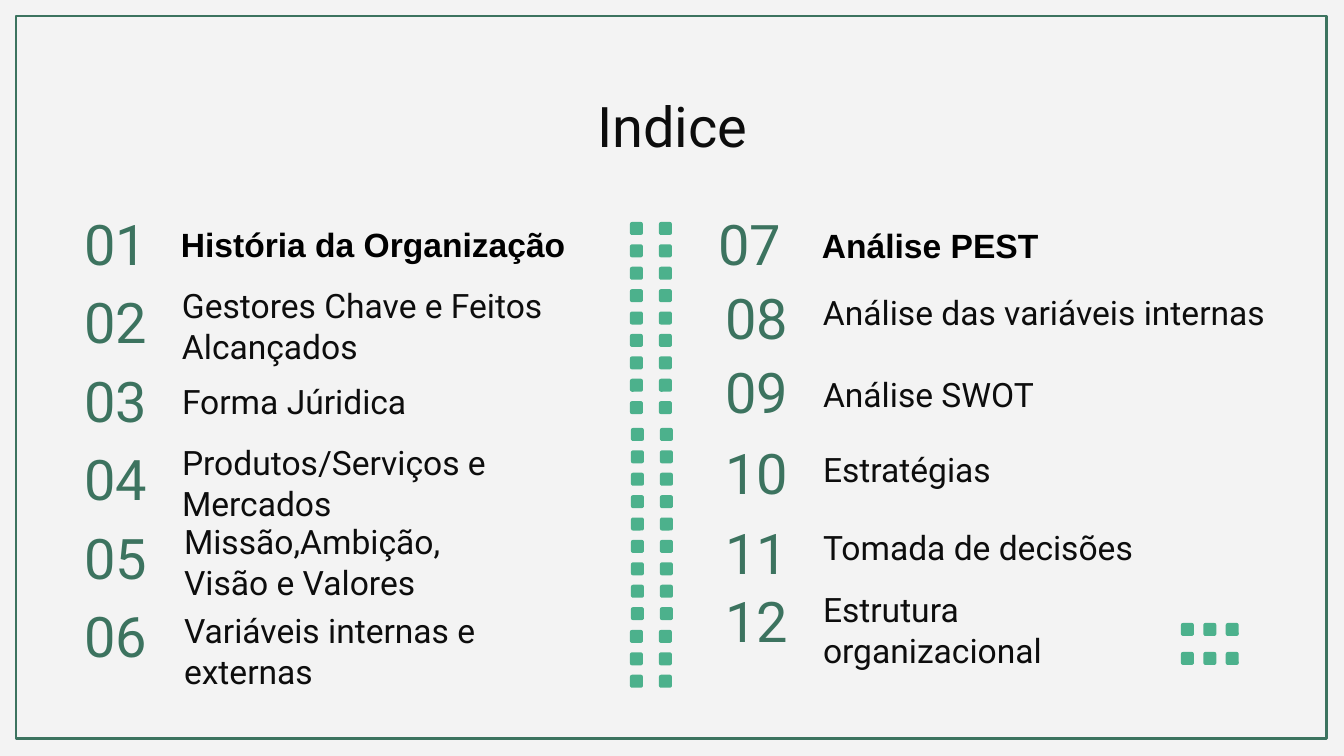
import dataclasses

import pptx
import pptx.dml.color
import pptx.enum.shapes
import pptx.enum.text
import pptx.util

ALIGN = pptx.enum.text.PP_ALIGN
ANCHOR = pptx.enum.text.MSO_ANCHOR
SHAPE = pptx.enum.shapes.MSO_SHAPE
EMU_PER_PX = 9144000 / 1344


def px(length):
    return pptx.util.Emu(round(length * EMU_PER_PX))


def color(value):
    return pptx.dml.color.RGBColor.from_string(value)


def apply(target, values):
    for name, value in values.items():
        setattr(target, name, value)


@dataclasses.dataclass(frozen=True)
class Theme:
    background: str = "F3F3F3"
    green: str = "3C735F"
    mint: str = "4CB18C"
    ink: str = "0D0D0D"
    black: str = "000000"
    body_font: str = "Roboto"
    strong_font: str = "Arial"
    large: int = 30
    medium: int = 18
    frame_line: float = 1.5


class IndexSlide:
    def __init__(self, deck, theme):
        self.theme = theme
        self.slide = deck.slides.add_slide(deck.slide_layouts[6])
        fill = self.slide.background.fill
        fill.solid()
        fill.fore_color.rgb = color(theme.background)

    def frame(self, left, top, width, height):
        shape = self.slide.shapes.add_shape(
            SHAPE.RECTANGLE, px(left), px(top), px(width), px(height))
        shape.shadow.inherit = False
        shape.fill.background()
        shape.line.color.rgb = color(self.theme.green)
        shape.line.width = pptx.util.Pt(self.theme.frame_line)

    def text(self, bounds, lines, size, ink, font=None, bold=False,
             align=ALIGN.LEFT, anchor=ANCHOR.MIDDLE, line_spacing=None):
        box = self.slide.shapes.add_textbox(*map(px, bounds))
        frame = box.text_frame
        inset = px(13)
        apply(frame, {"word_wrap": True, "vertical_anchor": anchor,
                      "margin_left": inset, "margin_right": inset,
                      "margin_top": inset, "margin_bottom": inset})
        frame.text = lines
        for para in frame.paragraphs:
            apply(para, {"alignment": align, "line_spacing": line_spacing})
            for span in para.runs:
                apply(span.font, {"size": pptx.util.Pt(size), "bold": bold,
                                  "name": font or self.theme.body_font})
                span.font.color.rgb = color(ink)
        return frame

    def title(self, bounds, words):
        self.text(bounds, words, self.theme.large, self.theme.ink,
                  align=ALIGN.CENTER, anchor=ANCHOR.TOP)

    def number(self, left, top, value):
        self.text((left, top, 108, 67), f"{value:02d}", self.theme.large,
                  self.theme.green, align=ALIGN.CENTER)

    def label(self, bounds, words):
        self.text(bounds, words, self.theme.medium, self.theme.ink,
                  anchor=ANCHOR.BOTTOM)

    def heading(self, bounds, words):
        frame = self.text(bounds, words, self.theme.medium, self.theme.black,
                          font=self.theme.strong_font, bold=True,
                          anchor=ANCHOR.BOTTOM, line_spacing=1.15)
        properties = frame.paragraphs[0]._p.get_or_add_pPr()
        properties.set("marL", str(px(67)))
        properties.set("indent", str(-px(44)))

    def dots(self, left, top, columns, rows, column_step, row_step):
        group = self.slide.shapes.add_group_shape()
        for row in range(rows):
            for column in range(columns):
                dot = group.shapes.add_shape(
                    SHAPE.ROUNDED_RECTANGLE, px(left + column * column_step),
                    px(top + row * row_step), px(13), px(13))
                dot.shadow.inherit = False
                dot.fill.solid()
                dot.fill.fore_color.rgb = color(self.theme.mint)
                dot.line.fill.background()


HEADINGS = [
    ((145, 210, 605, 67), "História da Organização"),
    ((786, 211, 605, 67), "Análise PEST"),
]
LABELS = [
    ((169, 312, 581, 67), "Gestores Chave e Feitos\nAlcançados"),
    ((169, 367, 339, 67), "Forma Júridica"),
    ((169, 469, 339, 67), "Produtos/Serviços e Mercados"),
    ((171, 548, 293, 67), "Missão,Ambição,Visão e Valores"),
    ((171, 602, 337, 102), "Variáveis internas e externas"),
    ((810, 278, 581, 67), "Análise das variáveis internas"),
    ((810, 360, 339, 67), "Análise SWOT"),
    ((810, 435, 339, 67), "Estratégias"),
    ((810, 513, 339, 67), "Tomada de decisões"),
    ((810, 616, 339, 67), "Estrutura organizacional"),
]
LEFT_NUMBERS = [(62, 210 + 157 * row // 2) for row in range(6)]
RIGHT_NUMBERS = [(696, 210)] + [(703, top) for top in (284, 358, 439, 519, 587)]
WIDE_STEP = 29
TIGHT_STEP = 22.4


def main():
    deck = pptx.Presentation()
    apply(deck, {"slide_width": px(1344), "slide_height": px(756)})
    index = IndexSlide(deck, Theme())
    index.frame(16, 16, 1311, 723)
    index.title((106, 79, 1133, 85), "Indice")
    for value, (left, top) in enumerate(LEFT_NUMBERS + RIGHT_NUMBERS, 1):
        index.number(left, top, value)
    for bounds, words in HEADINGS:
        index.heading(bounds, words)
    for bounds, words in LABELS:
        index.label(bounds, words)
    for left, top, rows in ((630, 222, 9), (631, 428, 9), (630, 630, 3)):
        index.dots(left, top, 2, rows, WIDE_STEP, TIGHT_STEP)
    index.dots(1181, 623, 3, 2, TIGHT_STEP, WIDE_STEP)
    deck.save("out.pptx")


if __name__ == "__main__":
    main()
